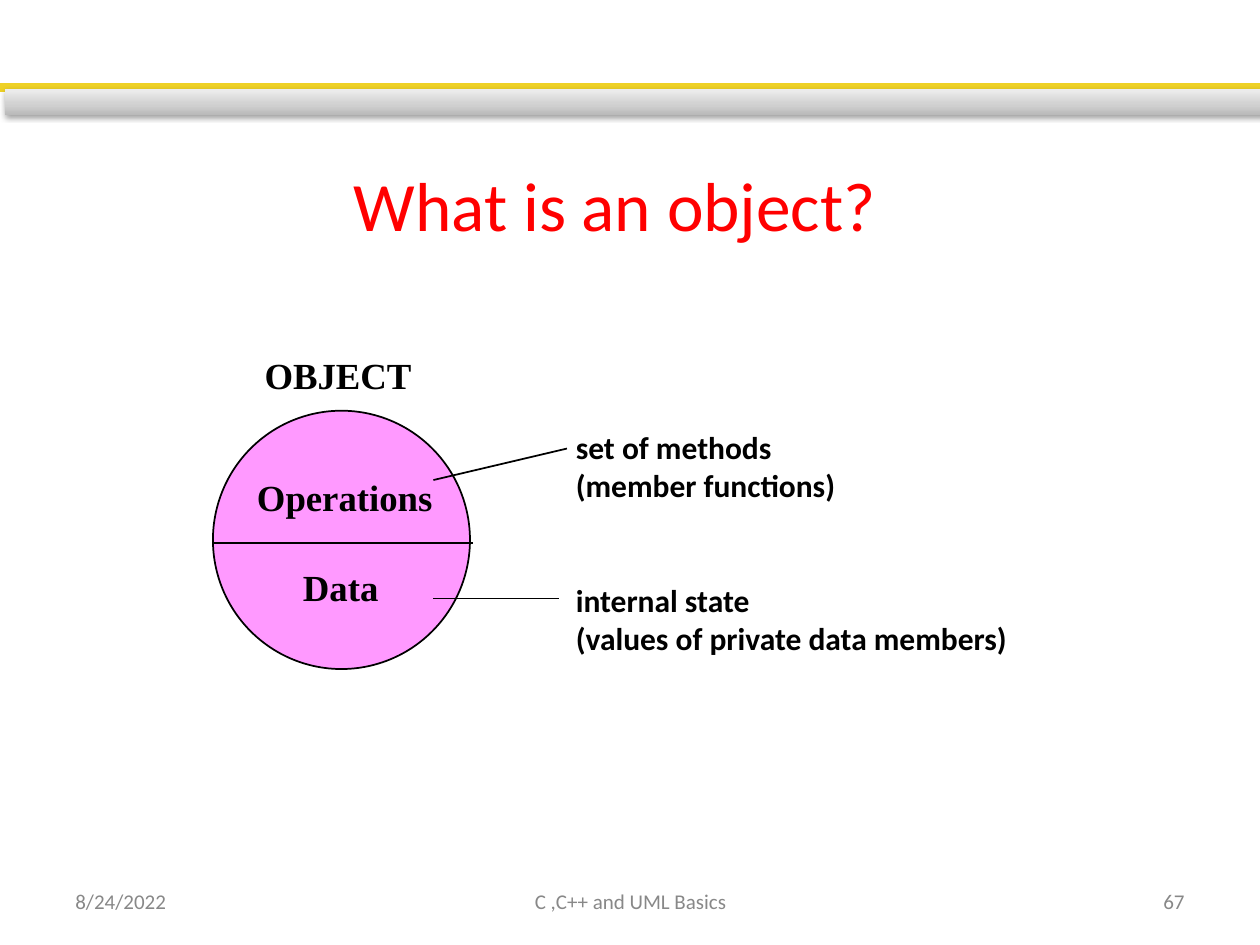
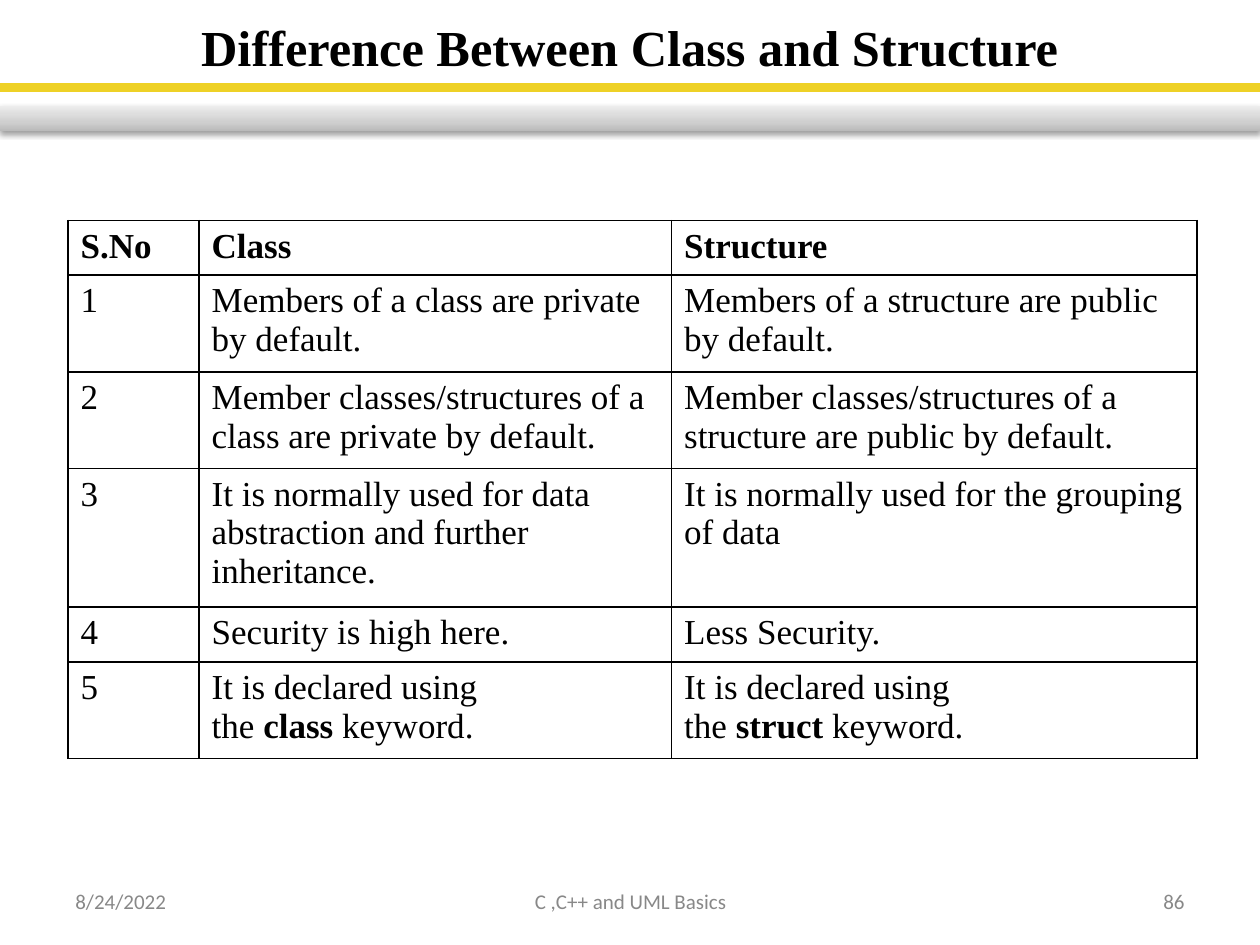
"""Two slides on objects, classes and structures."""
from dataclasses import dataclass

from lxml import etree
from pptx import Presentation
from pptx.dml.color import RGBColor
from pptx.enum.shapes import MSO_CONNECTOR, MSO_SHAPE
from pptx.enum.text import MSO_ANCHOR, PP_ALIGN
from pptx.oxml.ns import qn
from pptx.util import Inches, Pt

LEFT, CENTER, RIGHT = PP_ALIGN.LEFT, PP_ALIGN.CENTER, PP_ALIGN.RIGHT
TOP, MIDDLE, BOTTOM = MSO_ANCHOR.TOP, MSO_ANCHOR.MIDDLE, MSO_ANCHOR.BOTTOM
STRAIGHT = MSO_CONNECTOR.STRAIGHT
RECT, OVAL = MSO_SHAPE.RECTANGLE, MSO_SHAPE.OVAL
COLS, ROWS = 100, 75
NBSP = chr(160)
NORMAL, TIGHT = (1, 0.5), (0.8, 0.4)


@dataclass(frozen=True)
class Style:
    """Font, size, colour and weight of a text."""
    font: str
    size: float
    color: str
    bold: bool = False


@dataclass(frozen=True)
class Theme:
    """Colours and type styles of the deck."""
    ink: str = "000000"
    yellow: str = "EED126"
    pink: str = "FF99FF"
    greys: tuple = ((0, "BABABA"), (35, "CFCFCF"), (100, "EDEDED"))
    footer: Style = Style("Calibri", 12, "888888")
    question: Style = Style("Calibri", 39.6, "FF0000")
    heading: Style = Style("Times New Roman", 28.8, "000000", True)
    label: Style = Style("Times New Roman", 21, "000000", True)
    note: Style = Style("Calibri", 18, "000000", True)
    head_cell: Style = Style("Times New Roman", 20, "000000", True)
    cell: Style = Style("Times New Roman", 20, "000000")


class Deck:
    """Draws elements on the current slide in grid columns and rows."""

    def __init__(self, theme):
        self.theme = theme
        self.prs = Presentation()
        self.prs.slide_width, self.prs.slide_height = Inches(10), Inches(7.5)
        self.s = None

    def x(self, cols):
        return round(self.prs.slide_width * cols / COLS)

    def y(self, rows):
        return round(self.prs.slide_height * rows / ROWS)

    def box(self, left, top, width, height):
        return self.x(left), self.y(top), self.x(width), self.y(height)

    def new_slide(self, number, bar_left, bar_top):
        self.s = self.prs.slides.add_slide(self.prs.slide_layouts[6])
        t = self.theme
        self.shape(RECT, (0, 6.7, 100, 0.5), t.yellow, t.yellow, 2)
        self.grey_bar((bar_left, bar_top, 100, 2))
        for left, width, align, words in (
                (5, 23.3, LEFT, "8/24/2022"),
                (34.2, 31.7, CENTER, "C ,C++ and UML Basics"),
                (71.7, 23.3, RIGHT, number)):
            self.text((left, 69.5, width, 4), [words], t.footer, align, MIDDLE)

    def shape(self, kind, place, fill=None, line=None, weight=1):
        sp = self.s.shapes.add_shape(kind, *self.box(*place))
        sp.shadow.inherit = False
        if fill:
            sp.fill.solid()
            sp.fill.fore_color.rgb = RGBColor.from_string(fill)
        if line:
            sp.line.color.rgb = RGBColor.from_string(line)
            sp.line.width = Pt(weight)
        else:
            sp.line.fill.background()
        return sp

    def grey_bar(self, place):
        sp = self.shape(RECT, place)
        sp.fill.gradient()
        sp.fill.gradient_angle = 90
        sp_pr = sp._element.spPr
        stops = sp_pr.find(".//" + qn("a:gsLst"))
        for stop in list(stops):
            stops.remove(stop)
        for pos, color in self.theme.greys:
            stop = etree.SubElement(stops, qn("a:gs"), pos=str(pos * 1000))
            etree.SubElement(stop, qn("a:srgbClr"), val=color)
        shadow = etree.SubElement(
            sp_pr.find(qn("a:effectLst")), qn("a:outerShdw"), blurRad=str(Pt(3.1)),
            dist=str(Pt(1.6)), dir="5400000", rotWithShape="0")
        color = etree.SubElement(shadow, qn("a:srgbClr"), val=self.theme.ink)
        etree.SubElement(color, qn("a:alpha"), val="38000")

    def fill_paragraph(self, p, words, style, align=LEFT):
        p.alignment = align
        p.font.name, p.font.size, p.font.bold = style.font, Pt(style.size), style.bold
        p.font.color.rgb = RGBColor.from_string(style.color)
        for i, part in enumerate(words.split("*")):
            r = p.add_run()
            r.text = part
            if i % 2:
                r.font.bold = True

    def text(self, place, lines, style, align=LEFT, anchor=TOP, inset=NORMAL):
        tf = self.s.shapes.add_textbox(*self.box(*place)).text_frame
        tf.word_wrap, tf.vertical_anchor = True, anchor
        tf.margin_left = tf.margin_right = self.x(inset[0])
        tf.margin_top = tf.margin_bottom = self.y(inset[1])
        for i, words in enumerate(lines):
            p = tf.add_paragraph() if i else tf.paragraphs[0]
            self.fill_paragraph(p, words, style, align)
        return tf

    def line(self, x1, y1, x2, y2):
        c = self.s.shapes.add_connector(
            STRAIGHT, self.x(x1), self.y(y1), self.x(x2), self.y(y2))
        c.line.color.rgb = RGBColor.from_string(self.theme.ink)
        c.line.width = Pt(1)
        etree.SubElement(c._element.spPr, qn("a:effectLst"))

    def border(self, cell):
        tc_pr = cell._tc.get_or_add_tcPr()
        for side in "LRTB":
            ln = etree.SubElement(tc_pr, qn(f"a:ln{side}"), w=str(Pt(1)))
            fill = etree.SubElement(ln, qn("a:solidFill"))
            etree.SubElement(fill, qn("a:srgbClr"), val=self.theme.ink)

    def table(self, left, top, widths, row_height, rows):
        place = self.box(left, top, sum(widths), row_height * len(rows))
        tbl = self.s.shapes.add_table(len(rows), len(widths), *place).table
        tbl.first_row = tbl.horz_banding = False
        for col, width in zip(tbl.columns, widths):
            col.width = self.x(width)
        for i, row in enumerate(rows):
            style = self.theme.cell if i else self.theme.head_cell
            for cell, words in zip(tbl.rows[i].cells, row):
                self.border(cell)
                cell.fill.background()
                self.fill_paragraph(cell.text_frame.paragraphs[0], words, style)


def object_slide(deck):
    t = deck.theme
    deck.new_slide("67", 0.4, 7.1)
    deck.text((12.1, 12.5, 73.4, 7.4), ["What is an object?"], t.question,
              CENTER, BOTTOM, TIGHT)
    deck.text((20.2, 27.6, 13.3, 4.3), ["OBJECT"], t.label, inset=TIGHT)
    deck.shape(OVAL, (16.9, 32.6, 20.4, 20.5), t.pink, t.ink)
    tf = deck.text((19.6, 37.3, 15.6, 11.4), ["Operations", "Data"], t.label, inset=TIGHT)
    data = tf.paragraphs[1]
    data.space_before = Pt(26)
    data._p.get_or_add_pPr().set("marL", str(deck.x(3.65)))
    tf = deck.text((44.9, 33.6, 36.5, 18.9),
                   ["set of methods", "(member functions)", "internal state",
                    "(values of private data members)"], t.note, inset=TIGHT)
    tf.paragraphs[2].space_before = Pt(44)
    deck.line(34.4, 38.1, 45, 35.6)
    deck.line(34.4, 47.5, 44.4, 47.5)
    deck.line(16.9, 43.1, 37.5, 43.1)


def comparison_slide(deck):
    deck.new_slide("86", 0, 8.4)
    deck.text((5, 1.2, 90, 5), ["Difference Between Class and Structure"],
              deck.theme.heading, CENTER, MIDDLE)
    keyword = f"It is declared using the{NBSP}"
    pairs = [
        ("Members of a class are private by default.",
         "Members of a structure are public by default."),
        ("Member classes/structures of a class are private by default.",
         "Member classes/structures of a structure are public by default."),
        ("It is normally used for data abstraction and further inheritance.",
         "It is normally used for the grouping of data"),
        ("Security is high here.", "Less Security."),
        (f"{keyword}*class*{NBSP}keyword.", f"{keyword}*struct{NBSP}*keyword."),
    ]
    rows = [("S.No", "Class", "Structure")]
    rows += [(str(n), *pair) for n, pair in enumerate(pairs, 1)]
    deck.table(5.4, 17.5, (10.4, 37.5, 41.7), 4.1, rows)


def main():
    deck = Deck(Theme())
    object_slide(deck)
    comparison_slide(deck)
    deck.prs.save("out.pptx")


if __name__ == "__main__":
    main()
